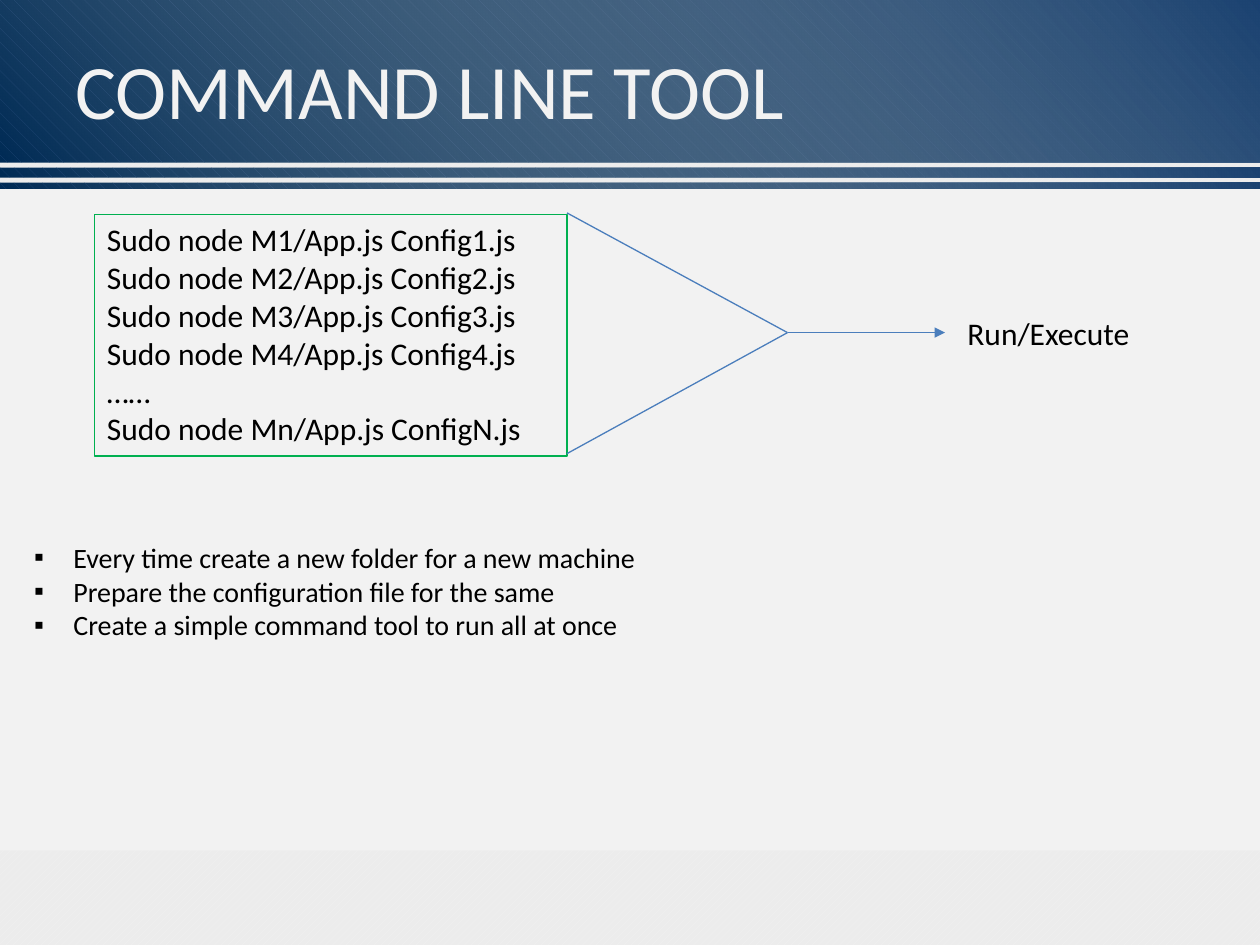
from pptx import Presentation
from pptx import util as u
from pptx.dml import color
from pptx.enum import dml, shapes, text
from pptx.oxml import ns
from lxml import etree

TITLE = "COMMAND LINE TOOL"
COMMANDS = [f"Sudo node M{n}/App.js Config{n}.js" for n in range(1, 5)] + [
    "……", "Sudo node Mn/App.js ConfigN.js"]
STEPS = [
    "Every time create a new folder for a new machine",
    "Prepare the configuration file for the same",
    "Create a simple command tool to run all at once",
]
RESULT = "Run/Execute"

WIDTH, HEIGHT = 720, 540
BANDS = [(0, 92.88), (95.76, 5.76), (104.4, 3.6)]
PANEL = (0, 108, WIDTH, 378)
TITLE_BOX = (36, 5.76, 648, 90)
COMMAND_BOX = (54, 122.4, 270, 138.24)
STEP_BOX = (12.24, 305.28, 450, 65.52)
RESULT_BOX = (545.76, 175.68, 120.24, 28.8)
TOP_CORNER, BOTTOM_CORNER = (324, 121.68), (324, 259.2)
JOIN, ARROW_END = (450, 190.08), (540, 190.08)


def rgb(value):
    return color.RGBColor.from_string(value)


def points(values):
    return [u.Pt(value) for value in values]


def add_child(parent, tag, **attributes):
    return etree.SubElement(parent, ns.qn(tag), attributes)


def set_pattern(fill, pattern, front, back):
    fill.patterned()
    fill.pattern = pattern
    fill.fore_color.rgb = rgb(front)
    fill.back_color.rgb = rgb(back)


def add_rectangle(slide, box):
    shape = slide.shapes.add_shape(shapes.MSO_SHAPE.RECTANGLE, *points(box))
    shape.shadow.inherit = False
    shape.line.fill.background()
    return shape


def add_band(slide, top, height):
    base = add_rectangle(slide, (0, top, WIDTH, height))
    set_pattern(base.fill, dml.MSO_PATTERN.SHINGLE, "1C4372", "002B55")
    left = (WIDTH - height) / 2
    sheen = add_rectangle(slide, (left, top - left, height, WIDTH))
    sheen.rotation = 90
    sheen.fill.gradient()
    sheen.fill.gradient_angle = 130
    for stop, position, value in zip(sheen.fill.gradient_stops, (0, 1), ("EEECE1", "1C4372")):
        stop.position = position
        stop.color.rgb = rgb(value)
    first_color = next(sheen.element.iter(ns.qn("a:srgbClr")))
    add_child(first_color, "a:alpha", val="0")


def write(shape, lines, size, value="000000", anchor=text.MSO_ANCHOR.TOP):
    frame = shape.text_frame
    frame_format = {"word_wrap": True, "auto_size": text.MSO_AUTO_SIZE.NONE,
                    "vertical_anchor": anchor}
    for name, setting in frame_format.items():
        setattr(frame, name, setting)
    frame.text = "\n".join(lines)
    for paragraph in frame.paragraphs:
        paragraph.alignment = text.PP_ALIGN.LEFT
        paragraph.space_before = u.Pt(0)
        for name, setting in {"name": "Calibri", "size": u.Pt(size)}.items():
            setattr(paragraph.font, name, setting)
        paragraph.font.color.rgb = rgb(value)


def place(shape, box):
    for name, value in zip(("left", "top", "width", "height"), points(box)):
        setattr(shape, name, value)
    shape.element.getparent().append(shape.element)


def add_bullets(shape):
    for paragraph in shape.text_frame.paragraphs:
        properties = paragraph._p.get_or_add_pPr()
        properties.set("marL", str(u.Pt(22.5)))
        properties.set("indent", str(u.Pt(-22.5)))
        add_child(properties, "a:buFont", typeface="Arial")
        add_child(properties, "a:buChar", char="▪")


def add_line(slide, start, end, arrow=False):
    connector = slide.shapes.add_connector(
        shapes.MSO_CONNECTOR.STRAIGHT, *points(start + end))
    connector.line.color.rgb = rgb("4B7EBC")
    connector.line.width = u.Pt(0.75)
    if arrow:
        add_child(connector.line._get_or_add_ln(), "a:tailEnd", type="triangle")
    add_child(connector.element.spPr, "a:effectLst")


def main():
    presentation = Presentation()
    presentation.slide_width, presentation.slide_height = points((WIDTH, HEIGHT))
    slide = presentation.slides.add_slide(presentation.slide_layouts[1])
    set_pattern(slide.background.fill, dml.MSO_PATTERN.WIDE_UPWARD_DIAGONAL,
                "F2F2F2", "ECECEC")
    for top, height in BANDS:
        add_band(slide, top, height)

    title = slide.shapes.title
    place(title, TITLE_BOX)
    write(title, [TITLE], 44, "F2F2F2", text.MSO_ANCHOR.MIDDLE)

    panel = add_rectangle(slide, PANEL)
    panel.fill.solid()
    panel.fill.fore_color.rgb = rgb("F2F2F2")

    steps = slide.placeholders[1]
    place(steps, STEP_BOX)
    write(steps, STEPS, 16)
    add_bullets(steps)

    commands = add_rectangle(slide, COMMAND_BOX)
    commands.fill.background()
    commands.line.color.rgb = rgb("00B050")
    commands.line.width = u.Pt(0.75)
    write(commands, COMMANDS, 18)

    add_line(slide, TOP_CORNER, JOIN)
    add_line(slide, BOTTOM_CORNER, JOIN)
    add_line(slide, JOIN, ARROW_END, arrow=True)

    result = slide.shapes.add_textbox(*points(RESULT_BOX))
    write(result, [RESULT], 18)
    presentation.save("out.pptx")


if __name__ == "__main__":
    main()
